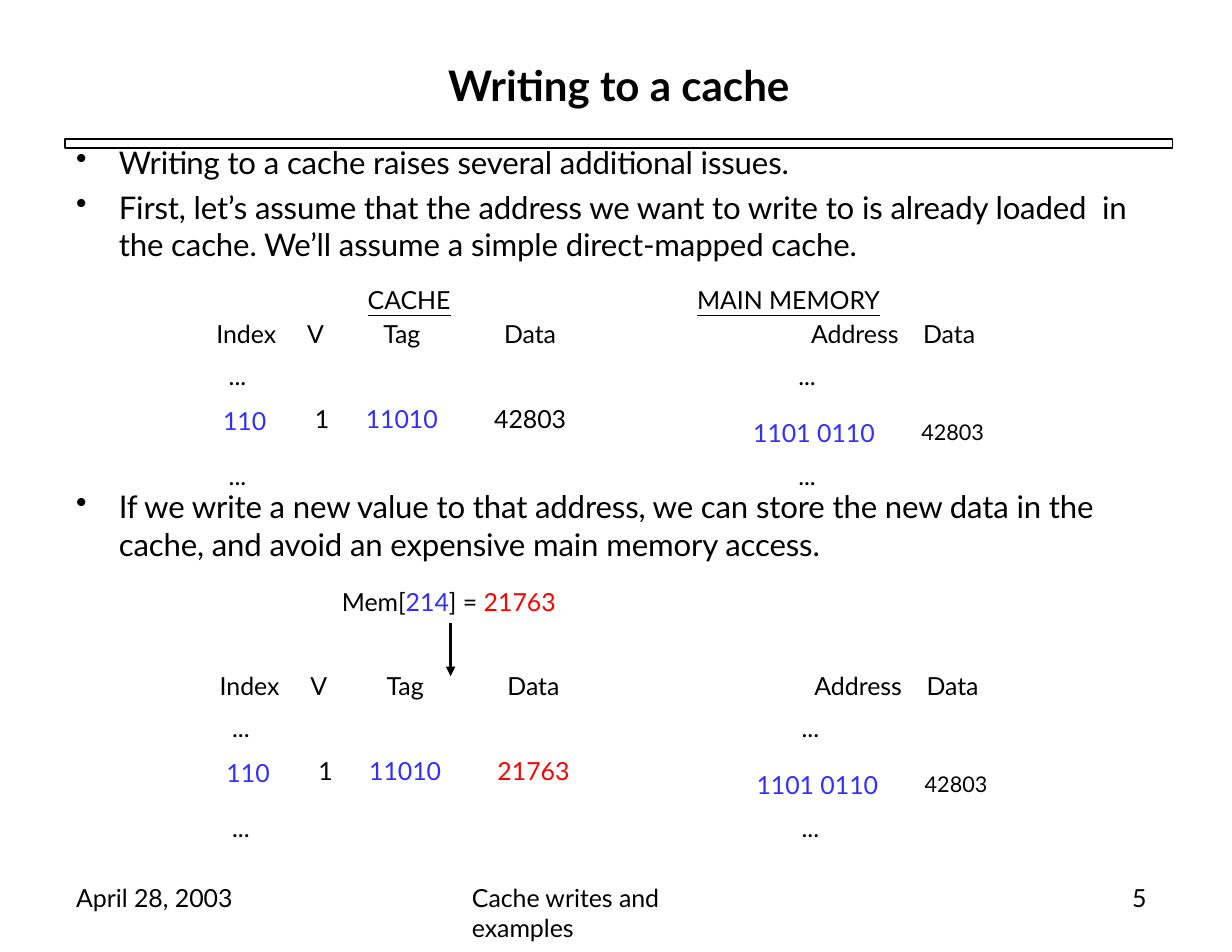
import dataclasses
import typing

import lxml.etree
import pptx
import pptx.dml.color
import pptx.enum.shapes
import pptx.enum.text
import pptx.oxml.ns
import pptx.util

Inches = pptx.util.Inches
Pt = pptx.util.Pt
qn = pptx.oxml.ns.qn
LEFT = pptx.enum.text.PP_ALIGN.LEFT
CENTER = pptx.enum.text.PP_ALIGN.CENTER
RIGHT = pptx.enum.text.PP_ALIGN.RIGHT

FONT = "Lato"
BLACK, BLUE, RED = "000000", "2F2FFF", "FF0000"
COLUMN_WIDTHS = (0.72, 0.46, 1.01, 1.28, 3.76)
HEADER_HEIGHT, ROW_HEIGHT = 0.31, 0.38
NO_TABLE_STYLE = "{2D5ABB26-0587-4C30-8999-92F81FD0307C}"


@dataclasses.dataclass(frozen=True)
class Run:
    text: str
    color: str = BLACK
    size: float = 16
    bold: bool = False
    underline: bool = False
    baseline: int = 0
    spacing: int = 0


@dataclasses.dataclass(frozen=True)
class Paragraph:
    runs: tuple[Run, ...]
    alignment: typing.Any = LEFT
    left: float = 0
    right: float = 0
    before: float = 0
    line: float = 0
    tab: float = 0
    bullet: bool = False
    top: float = 0


@dataclasses.dataclass(frozen=True)
class TextBlock:
    left: float
    top: float
    width: float
    height: float
    paragraphs: tuple[Paragraph, ...]


def rgb(color: str) -> pptx.dml.color.RGBColor:
    return pptx.dml.color.RGBColor.from_string(color)


def apply_format(target: typing.Any, values: dict[str, typing.Any]) -> None:
    for name, value in values.items():
        setattr(target, name, value)


def write_paragraph(paragraph: typing.Any, content: Paragraph) -> None:
    apply_format(paragraph, {"alignment": content.alignment, "space_before": Pt(content.before)})
    if content.line:
        paragraph.line_spacing = Pt(content.line)
    properties = paragraph._p.get_or_add_pPr()
    properties.set("marL", str(Inches(content.left)))
    properties.set("marR", str(Inches(content.right)))
    properties.set("indent", str(Inches(-0.38 if content.bullet else 0)))
    if content.bullet:
        lxml.etree.SubElement(properties, qn("a:buChar"), char="•")
    if content.tab:
        tabs = lxml.etree.SubElement(properties, qn("a:tabLst"))
        lxml.etree.SubElement(tabs, qn("a:tab"), pos=str(Inches(content.tab)), algn="l")
    for piece in content.runs:
        run = paragraph.add_run()
        run.text = piece.text
        apply_format(run.font, {"name": FONT, "size": Pt(piece.size), "bold": piece.bold,
                                "underline": piece.underline})
        run.font.color.rgb = rgb(piece.color)
        for name, value in {"baseline": piece.baseline, "spc": piece.spacing}.items():
            if value:
                run._r.get_or_add_rPr().set(name, str(value))


def add_text(slide: typing.Any, block: TextBlock) -> None:
    shape = slide.shapes.add_textbox(
        *map(Inches, (block.left, block.top, block.width, block.height)))
    frame = shape.text_frame
    apply_format(frame, {"word_wrap": True, "margin_left": 0, "margin_top": 0,
                         "margin_right": 0, "margin_bottom": 0})
    for index, content in enumerate(block.paragraphs):
        write_paragraph(frame.add_paragraph() if index else frame.paragraphs[0], content)


def heading(text: str, **values: typing.Any) -> Paragraph:
    return Paragraph((Run(text),), line=18.2, **values)


def value(text: str, color: str = BLACK, **values: typing.Any) -> Paragraph:
    return Paragraph((Run(text, color),), **{"before": 3.6, "top": 0.05, **values})


def bullet(text: str, before: float = 0) -> Paragraph:
    return Paragraph((Run(text, size=20, spacing=-10),), left=0.39, before=before, bullet=True)


def dots_row(before: float, top: float) -> tuple[Paragraph | None, ...]:
    return (value("...", left=0.14, before=before, top=top), None, None, None,
            value("...", alignment=CENTER, right=0.1, before=before, top=top))


def memory_rows(cached: str, color: str) -> list[tuple[Paragraph | None, ...]]:
    return [
        (heading("Index", left=0.03), heading("V", left=0.12),
         heading("Tag", alignment=CENTER), heading("Data", alignment=CENTER),
         heading("Address\tData", alignment=RIGHT, right=0.43, tab=1.44)),
        dots_row(3.2, 0.05),
        (value("110", BLUE, left=0.09, before=5, top=0.07), value("1", left=0.19),
         value("11010", BLUE, alignment=CENTER), value(cached, color, alignment=CENTER),
         Paragraph((Run("1101 0110\t", BLUE), Run("42803", size=24, baseline=5000)),
                   RIGHT, right=0.35, before=5, tab=1.49, top=0.07)),
        dots_row(6.7, 0.09),
    ]


def add_memory_table(slide: typing.Any, left: float, top: float,
                     rows: list[tuple[Paragraph | None, ...]]) -> typing.Any:
    headers = len(rows) - 3
    heights = [HEADER_HEIGHT] * headers + [ROW_HEIGHT] * 3
    frame = slide.shapes.add_table(len(rows), len(COLUMN_WIDTHS), Inches(left), Inches(top),
                                   Inches(sum(COLUMN_WIDTHS)), Inches(sum(heights)))
    table = frame.table
    apply_format(table, {"first_row": False, "horz_banding": False})
    table._tbl.tblPr.find(qn("a:tableStyleId")).text = NO_TABLE_STYLE
    for column, width in zip(table.columns, COLUMN_WIDTHS):
        column.width = Inches(width)
    for row, height, contents in zip(table.rows, heights, rows):
        row.height = Inches(height)
        for cell, content in zip(row.cells, contents):
            apply_format(cell, {"margin_left": 0, "margin_right": 0, "margin_bottom": 0,
                                "margin_top": Inches(content.top if content else 0)})
            cell.fill.background()
            if content:
                write_paragraph(cell.text_frame.paragraphs[0], content)
    return table


def add_title_rule(slide: typing.Any) -> None:
    shape = slide.shapes.add_shape(pptx.enum.shapes.MSO_SHAPE.RECTANGLE,
                                   *map(Inches, (0.58, 1.24, 9.88, 0.08)))
    shape.shadow.inherit = False
    shape.fill.background()
    shape.line.color.rgb = rgb(BLACK)
    shape.line.width = Pt(1)


def add_write_arrow(slide: typing.Any) -> None:
    arrow = slide.shapes.add_connector(pptx.enum.shapes.MSO_CONNECTOR.STRAIGHT,
                                       *map(Inches, (4.02, 5.56, 4.02, 6.03)))
    arrow.line.color.rgb = rgb(BLACK)
    arrow.line.width = Pt(2)
    lxml.etree.SubElement(arrow.line._get_or_add_ln(), qn("a:tailEnd"), type="triangle")
    lxml.etree.SubElement(arrow._element.spPr, qn("a:effectLst"))


TEXT_BLOCKS = (
    TextBlock(3.91, 0.53, 3.22, 0.47, (
        Paragraph((Run("Writing to a cache", size=27, bold=True),), CENTER),)),
    TextBlock(0.67, 1.28, 9.56, 1.49, (
        bullet("Writing to a cache raises several additional issues."),
        bullet("First, let’s assume that the address we want to write to is already loaded  in "
               "the cache. We’ll assume a simple direct-mapped cache.", 4.7))),
    TextBlock(0.67, 4.35, 9.6, 1.2, (
        bullet("If we write a new value to that address, we can store the new data in the  "
               "cache, and avoid an expensive main memory access."),
        Paragraph((Run("Mem["), Run("214", BLUE), Run("] = "), Run("21763", RED)),
                  left=2.38, before=15.8))),
    TextBlock(0.67, 7.87, 1.41, 0.29, (Paragraph((Run("April 28, 2003"),), left=0.01),)),
    TextBlock(4.2, 7.87, 2.55, 0.54, (
        Paragraph((Run("Cache writes and examples"),), left=0.01),)),
    TextBlock(10.07, 7.87, 0.29, 0.28, (Paragraph((Run("5"),), left=0.03),)),
)


def main() -> None:
    presentation = pptx.Presentation()
    apply_format(presentation, {"slide_width": Inches(10.99), "slide_height": Inches(8.49)})
    slide = presentation.slides.add_slide(presentation.slide_layouts[6])
    add_title_rule(slide)
    for block in TEXT_BLOCKS:
        add_text(slide, block)
    captions = [Paragraph((Run(text, underline=True),), CENTER, left, right, line=18.2)
                for text, left, right in (("CACHE", 0.03, 0), ("MAIN MEMORY", 0, 0.43))]
    caption_row = (captions[0], None, None, None, captions[1])
    table = add_memory_table(slide, 1.9, 2.55, [caption_row, *memory_rows("42803", BLACK)])
    table.cell(0, 0).merge(table.cell(0, 3))
    add_memory_table(slide, 1.93, 6, memory_rows("21763", RED))
    add_write_arrow(slide)
    presentation.save("out.pptx")


if __name__ == "__main__":
    main()
